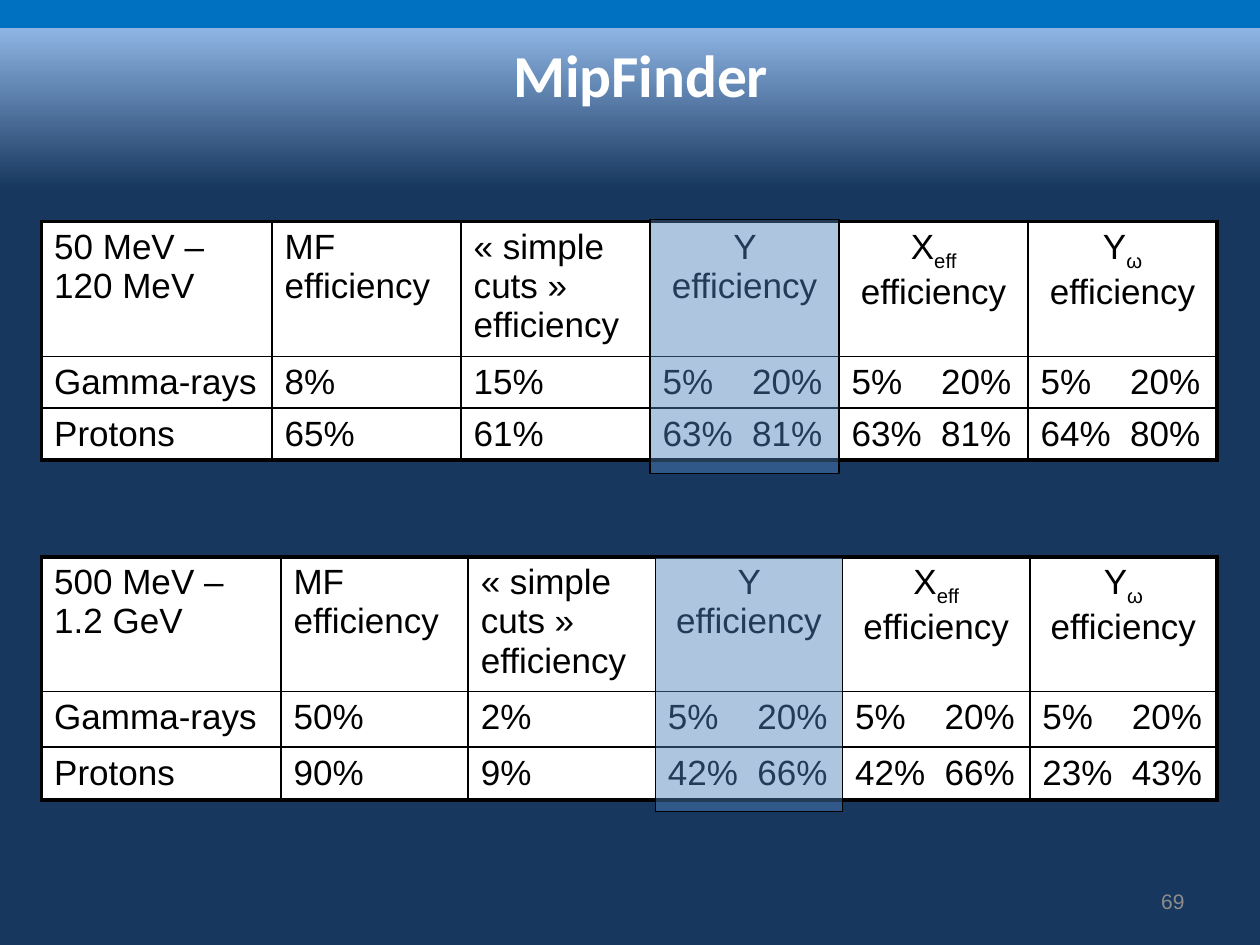
from lxml.etree import SubElement
from pptx import Presentation
from pptx.dml.color import RGBColor
from pptx.enum.shapes import MSO_SHAPE
from pptx.enum.text import MSO_ANCHOR, PP_ALIGN
from pptx.oxml import parse_xml
from pptx.oxml.ns import nsdecls, qn
from pptx.util import Inches, Pt

deck = Presentation()
deck.slide_width, deck.slide_height = Inches(10), Inches(7.5)
COLUMN, ROW = deck.slide_width / 10, deck.slide_height / 7.5
slide = deck.slides.add_slide(deck.slide_layouts[6])


def area(left, top, width, height):
    return int(left * COLUMN), int(top * ROW), int(width * COLUMN), int(height * ROW)


def style(font, name, size, color):
    font.name, font.size = name, Pt(size)
    font.color.rgb = RGBColor.from_string(color)


backdrop = slide.background.fill
backdrop.gradient()
backdrop.gradient_angle = 270
stops = slide.background._cSld.find(".//" + qn("a:gsLst"))
stops.clear()
for share, color in ((3, "0070C0"), (3, "8EB4E3"), (20, "17375E"), (100, "17375E")):
    stop = SubElement(stops, qn("a:gs"), pos=str(share * 1000))
    SubElement(stop, qn("a:srgbClr"), val=color)

HEADINGS = ["MF efficiency", "« simple cuts » efficiency", "Y efficiency",
            "X|eff |efficiency", "Y|ω |efficiency"]
GAMMA_PAIRS = ["5%\t20%"] * 3
LEFT, WIDTH, HIGHLIGHTED = 0.33, 9.33, 3
energy_ranges = [
    (1.76, 1.83, (1.07, 0.41, 0.41), 1.74, [
        ["50 MeV – 120 MeV"] + HEADINGS,
        ["Gamma-rays", "8%", "15%"] + GAMMA_PAIRS,
        ["Protons", "65%", "61%", "63%\t81%", "63%\t81%", "64%\t80%"]]),
    (4.42, 1.9, (1.07, 0.44, 0.42), 4.42, [
        ["500 MeV – 1.2 GeV"] + HEADINGS,
        ["Gamma-rays", "50%", "2%"] + GAMMA_PAIRS,
        ["Protons", "90%", "9%", "42%\t66%", "42%\t66%", "23%\t43%"]]),
]

for top, label_width, heights, highlight_top, rows in energy_ranges:
    last_row, last_column = len(rows) - 1, len(rows[0]) - 1
    value_width = (WIDTH - label_width) / last_column
    efficiencies = slide.shapes.add_table(
        len(rows), len(rows[0]), *area(LEFT, top, WIDTH, sum(heights))).table
    efficiencies.first_row = efficiencies.horz_banding = False
    for index, column in enumerate(efficiencies.columns):
        column.width = int((value_width if index else label_width) * COLUMN)
    for r, entries in enumerate(rows):
        efficiencies.rows[r].height = int(heights[r] * ROW)
        for c, entry in enumerate(entries):
            cell = efficiencies.cell(r, c)
            outer_edges = {"L": c == 0, "R": c == last_column, "T": r == 0, "B": r == last_row}
            for side, outer in outer_edges.items():
                cell._tc.get_or_add_tcPr().append(parse_xml(
                    f'<a:ln{side} {nsdecls("a")} w="{Pt(2.25 if outer else 1)}"><a:solidFill>'
                    f'<a:srgbClr val="000000"/></a:solidFill></a:ln{side}>'))
            cell.fill.solid()
            cell.fill.fore_color.rgb = RGBColor.from_string("FFFFFF")
            paragraph = cell.text_frame.paragraphs[0]
            for part, text in enumerate(entry.split("|")):
                run = paragraph.add_run()
                run.text = text
                if part == 1:
                    run._r.get_or_add_rPr().set("baseline", "-25000")
            if r == 0 and c >= HIGHLIGHTED:
                paragraph.alignment = PP_ALIGN.CENTER
            if "\t" in entry:
                tabs = SubElement(paragraph._p.get_or_add_pPr(), qn("a:tabLst"))
                SubElement(tabs, qn("a:tab"), pos=str(int(0.71 * COLUMN)), algn="l")
            style(paragraph.font, "Arial", 20, "000000")

    highlight_left = LEFT + label_width + (HIGHLIGHTED - 1) * value_width
    highlight = slide.shapes.add_shape(
        MSO_SHAPE.RECTANGLE, *area(highlight_left, highlight_top, value_width, 2.02))
    highlight.shadow.inherit = False
    highlight.fill.solid()
    highlight.fill.fore_color.rgb = RGBColor.from_string("4F81BD")
    tint = highlight._element.spPr.find(qn("a:solidFill"))[0]
    SubElement(tint, qn("a:alpha"), val="46000")
    highlight.line.color.rgb = RGBColor.from_string("000000")
    highlight.line.width = Pt(0.75)

captions = [
    ("69", (7.17, 6.95, 2.33, 0.4), PP_ALIGN.RIGHT, MSO_ANCHOR.MIDDLE, "Arial", 12, "8C8C8C", False),
    ("MipFinder", (0.17, 0.25, 9.83, 0.67), PP_ALIGN.CENTER, MSO_ANCHOR.TOP, "Calibri", 34, "FFFFFF", True),
]
for text, place, alignment, anchor, name, size, color, bold in captions:
    caption = slide.shapes.add_textbox(*area(*place)).text_frame
    caption.word_wrap = True
    caption.vertical_anchor = anchor
    paragraph = caption.paragraphs[0]
    paragraph.text = text
    paragraph.alignment = alignment
    style(paragraph.font, name, size, color)
    paragraph.font.bold = bold

deck.save("out.pptx")
